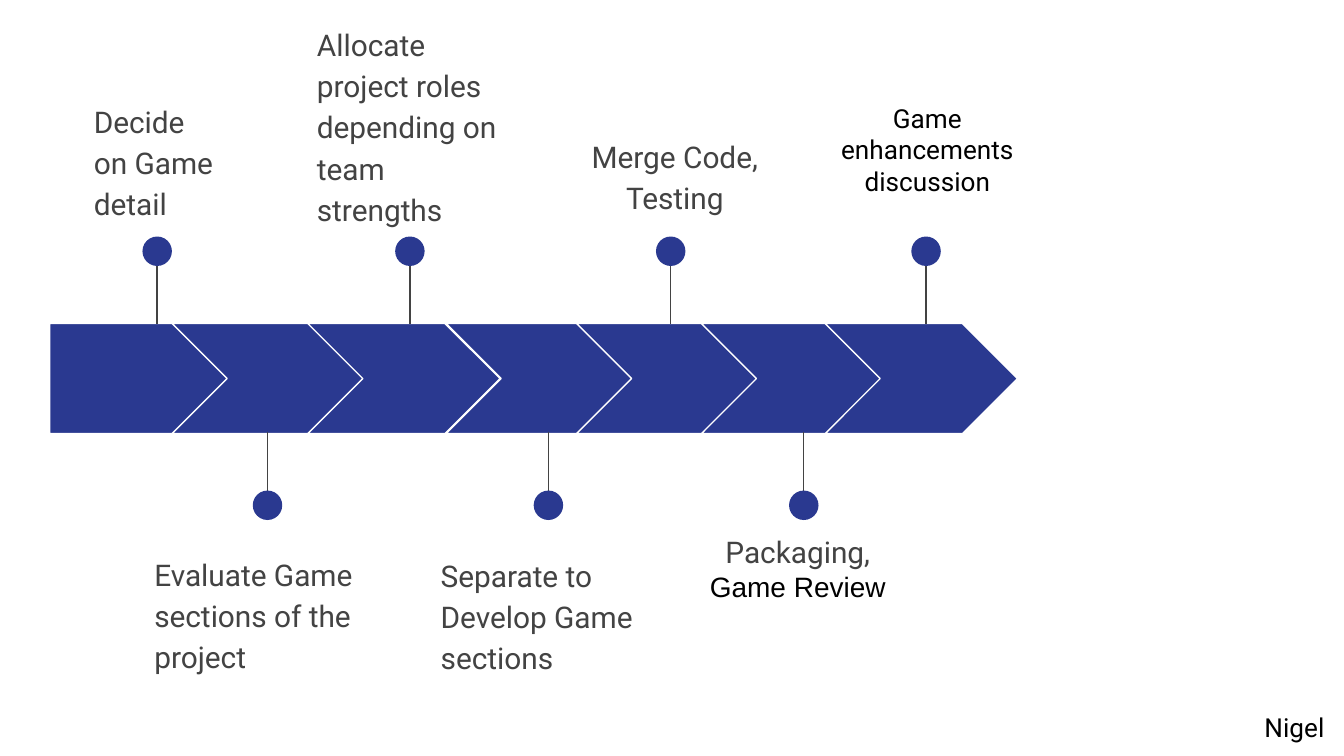
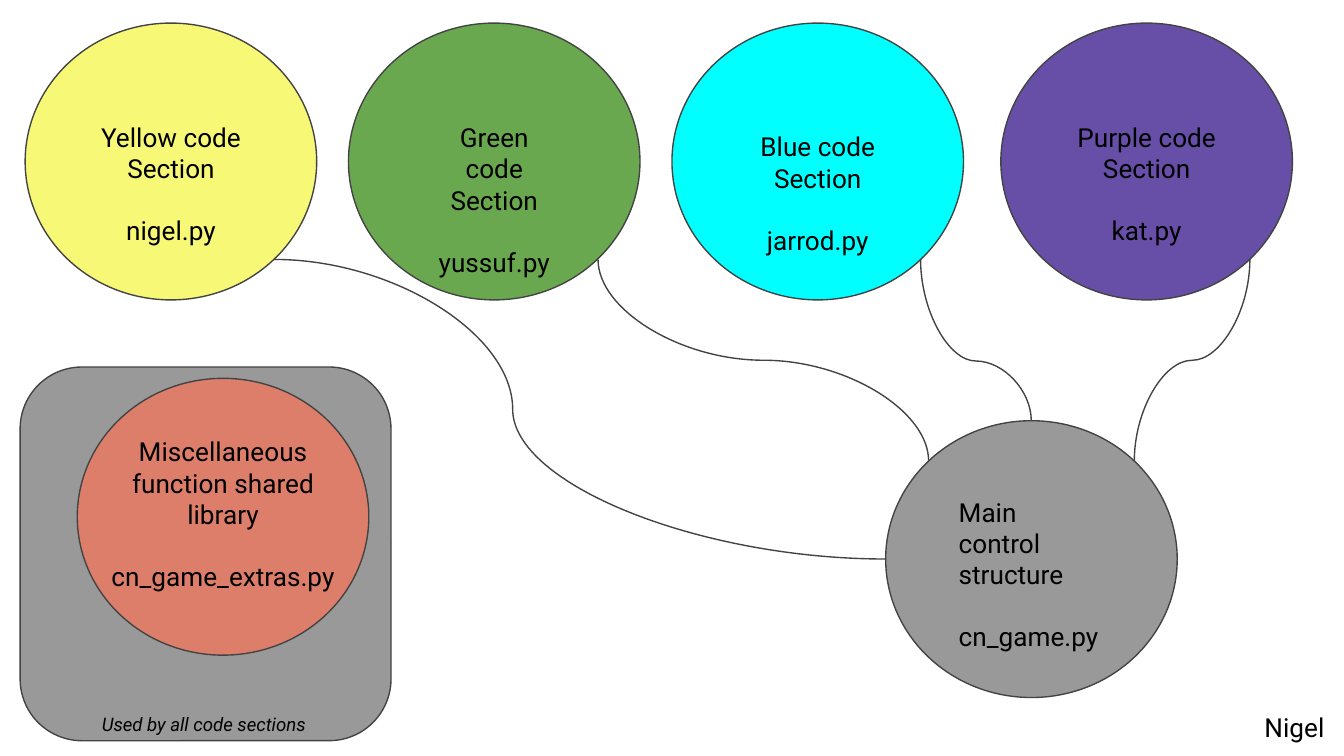
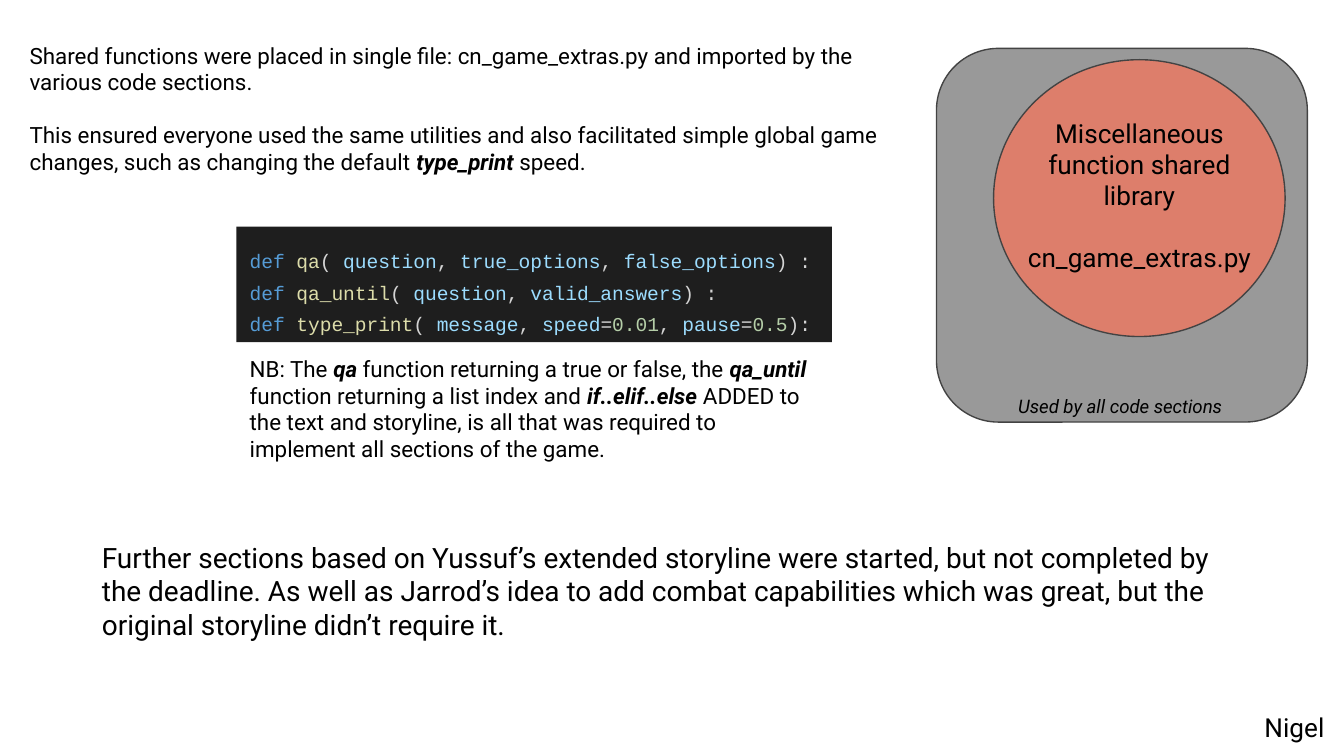
from dataclasses import dataclass

from lxml import etree
from pptx import Presentation
from pptx.dml.color import RGBColor
from pptx.enum.shapes import MSO_CONNECTOR, MSO_SHAPE
from pptx.enum.text import MSO_ANCHOR, PP_ALIGN
from pptx.oxml.ns import qn
from pptx.util import Pt

COLORS = {
    "black": "000000", "white": "FFFFFF", "gray": "999999", "outline": "434343",
    "navy": "2A3990", "yellow": "F8F877", "green": "6AA84F", "cyan": "00FFFF",
    "purple": "674EA7", "salmon": "DD7E6B", "editor": "1E1E1E", "keyword": "569CD6",
    "function": "DCDCAA", "parameter": "9CDCFE", "number": "B5CEA8", "plain": "D4D4D4",
}
CIRCLE_WIDTH, CIRCLE_HEIGHT = 156.2, 148.3
LINE_HEIGHT = 1.17
LEFT, CENTER = PP_ALIGN.LEFT, PP_ALIGN.CENTER


def rgb(name):
    return RGBColor.from_string(COLORS[name])


@dataclass
class Span:
    text: str
    size: float = 12
    color: str = "black"
    font: str = "Roboto"
    bold: bool = False
    italic: bool = False


def emphasized(text, size=12):
    """Split text at asterisks; every second part is bold italic."""
    return [Span(part, size, bold=index % 2 == 1, italic=index % 2 == 1)
            for index, part in enumerate(text.split("*"))]


class SlideBuilder:
    def __init__(self):
        self.deck = Presentation()
        self.deck.slide_width, self.deck.slide_height = Pt(720), Pt(405)
        self.page = None

    def new_page(self):
        self.page = self.deck.slides.add_slide(self.deck.slide_layouts[6])
        self.text(670.3, 373.7, 49.7, 31.7, [[Span("Nigel", 14)]])

    def shape(self, kind, left, top, width, height, fill, line=None):
        shape = self.page.shapes.add_shape(kind, Pt(left), Pt(top), Pt(width), Pt(height))
        shape.shadow.inherit = False
        shape.fill.solid()
        shape.fill.fore_color.rgb = rgb(fill)
        if line:
            shape.line.color.rgb = rgb(line)
            shape.line.width = Pt(0.75)
        else:
            shape.line.fill.background()
        return shape

    def fill_frame(self, frame, paragraphs, align=LEFT, spacing=None, gap=0):
        """Fill a frame with lists of spans; gap separates the paragraphs."""
        frame.word_wrap = True
        frame.vertical_anchor = MSO_ANCHOR.TOP
        frame.margin_left = frame.margin_right = Pt(7.2)
        frame.margin_top = frame.margin_bottom = Pt(7.2)
        for index, spans in enumerate(paragraphs):
            para = frame.add_paragraph() if index else frame.paragraphs[0]
            para.alignment = align
            if spacing:
                para.line_spacing = spacing
            if index and gap:
                para.space_before = Pt(gap)
            for span in spans:
                run = para.add_run()
                run.text = span.text
                run.font.name = span.font
                run.font.size = Pt(span.size)
                run.font.bold = span.bold
                run.font.italic = span.italic
                run.font.color.rgb = rgb(span.color)

    def text(self, left, top, width, height, paragraphs, **style):
        box = self.page.shapes.add_textbox(Pt(left), Pt(top), Pt(width), Pt(height))
        self.fill_frame(box.text_frame, paragraphs, **style)

    def connector(self, kind, start, end):
        line = self.page.shapes.add_connector(kind, *(Pt(value) for value in (*start, *end)))
        line.line.color.rgb = rgb("outline")
        line.line.width = Pt(0.75)
        etree.SubElement(line._element.spPr, qn("a:effectLst"))
        return line

    def curve(self, start, end, bend=0.5, vertical=False):
        """Draw an S curve; a vertical one is laid out sideways, then turned by 270 degrees."""
        if vertical:
            middle_x, middle_y = (start[0] + end[0]) / 2, (start[1] + end[1]) / 2
            half_x, half_y = (end[0] - start[0]) / 2, (end[1] - start[1]) / 2
            start = (middle_x + half_y, middle_y - half_x)
            end = (middle_x - half_y, middle_y + half_x)
        properties = self.connector(MSO_CONNECTOR.CURVE, start, end)._element.spPr
        if vertical:
            properties.find(qn("a:xfrm")).set("rot", str(270 * 60000))
        guides = properties.find(qn("a:prstGeom")).get_or_add_avLst()
        etree.SubElement(guides, qn("a:gd"), name="adj1", fmla=f"val {round(bend * 100000)}")

    def marker(self, x, above):
        """Draw a stem with a dot, above or below the arrow band."""
        ends = (129.6, 173.5) if above else (275.4, 231.5)
        self.connector(MSO_CONNECTOR.STRAIGHT, (x, ends[0]), (x, ends[1]))
        self.shape(MSO_SHAPE.OVAL, x - 7.9, 126.7 if above else 262.8, 15.8, 15.8, "navy")

    def module(self, left, top, fill, title, file_name, width, drop, align=CENTER):
        """Draw a circle naming a code module and its file."""
        self.shape(MSO_SHAPE.OVAL, left, top, CIRCLE_WIDTH, CIRCLE_HEIGHT, fill, "outline")
        self.text(left + (CIRCLE_WIDTH - width) / 2, top + drop, width, 82,
                  [[Span(title, 14)], [Span(file_name, 14)]],
                  align=align, gap=14 * LINE_HEIGHT)

    def shared_library(self, left, top):
        self.shape(MSO_SHAPE.ROUNDED_RECTANGLE, left, top, 198.7, 200.2, "gray", "outline")
        self.module(left + 30.6, top + 6.1, "salmon", "Miscellaneous function shared library",
                    "cn_game_extras.py", 134, 23.5)
        self.text(left + 36.7, top + 179.5, 125.3, 26.6,
                  [[Span("Used by all code sections", 10, italic=True)]])


def code_line(name, parameters, ending):
    def token(text, color):
        return Span(text, 10.5, color, "Courier New")

    spans = [token("def", "keyword"), token(" ", "plain"),
             token(name, "function"), token("( ", "plain")]
    for index, parameter in enumerate(parameters):
        if index:
            spans.append(token(", ", "plain"))
        word, equals, default = parameter.partition("=")
        spans.append(token(word, "parameter"))
        if equals:
            spans += [token(equals, "plain"), token(default, "number")]
    return spans + [token(ending, "plain")]


def add_timeline(builder):
    builder.new_page()
    arrow_lefts = [26.6, 92.2, 164.9, 239, 308.9, 375.8, 442.1]
    marker_centers = [84.2, 143.3, 219.6, 293.8, 359.3, 430.6, 496.1]
    for index, (left, center) in enumerate(zip(arrow_lefts, marker_centers)):
        kind, width = (MSO_SHAPE.CHEVRON, 103) if index else (MSO_SHAPE.PENTAGON, 97.9)
        builder.shape(kind, left, 173.3, width, 59, "navy", "white")
        builder.marker(center, above=index % 2 == 0)

    labels = [
        (43.2, 45.4, 82.1, 71.3, "Decide on Game detail", LEFT),
        (75.6, 288, 129.6, 92.2, "Evaluate Game sections of the project", LEFT),
        (162.7, 4.3, 120.2, 123.1, "Allocate project roles depending on team strengths", LEFT),
        (229, 288.7, 123.1, 92.2, "Separate to Develop Game sections", LEFT),
        (304.6, 64.1, 113.8, 52.6, "Merge Code, Testing", CENTER),
    ]
    for left, top, width, height, label, align in labels:
        builder.text(left, top, width, height, [[Span(label, 16, "outline")]],
                     align=align, spacing=1.15)
    builder.text(373, 278.6, 108.7, 51.8,
                 [[Span("Packaging, ", 16, "outline"), Span("Game Review", 15, font="Arial")]],
                 align=CENTER)
    builder.text(439.9, 47.5, 113.8, 65.5,
                 [[Span("Game enhancements", 14)], [Span("discussion", 14)]], align=CENTER)


def add_code_structure(builder):
    builder.new_page()
    sections = [
        (13.5, "yellow", "Yellow code Section", "nigel.py", 92.2, 45.4),
        (186.7, "green", "Green code Section", "yussuf.py", 85, 45.4),
        (360, "cyan", "Blue code Section", "jarrod.py", 79.9, 50.4),
        (536.2, "purple", "Purple code Section", "kat.py", 92.2, 45.4),
    ]
    for left, fill, title, file_name, width, drop in sections:
        builder.module(left, 12.4, fill, title, file_name, width, drop)
    builder.module(474.5, 225.4, "gray", "Main control structure", "cn_game.py", 92.2, 33.1, LEFT)

    builder.curve((607.7, 247), (669.6, 139), vertical=True)
    builder.curve((493.2, 139), (552.5, 225.4), 0.63, vertical=True)
    builder.curve((320.4, 139), (497.5, 247), vertical=True)
    builder.curve((146.9, 139), (474.5, 299.5), 0.39)
    builder.shared_library(10.8, 196.6)


def add_shared_functions(builder):
    builder.new_page()
    editor = builder.shape(MSO_SHAPE.RECTANGLE, 126.7, 121.5, 319, 61.9, "editor")
    builder.fill_frame(editor.text_frame, [
        code_line("qa", ["question", "true_options", "false_options"], ") :"),
        code_line("qa_until", ["question", "valid_answers"], ") :"),
        code_line("type_print", ["message", "speed=0.01", "pause=0.5"], "):"),
    ], spacing=1.36)
    builder.text(8.8, 15.1, 475.2, 87.1, [
        emphasized("Shared functions were placed in single file: cn_game_extras.py and "
                   "imported by the various code sections."),
        emphasized("This ensured everyone used the same utilities and also facilitated simple "
                   "global game changes, such as changing the default *type_print* speed."),
    ], gap=12 * LINE_HEIGHT)
    builder.shared_library(501.7, 25.9)
    builder.text(126.7, 182.9, 319, 72.7, [emphasized(
        "NB: The *qa *function returning a true or false, the *qa_until *function returning "
        "a list index and *if..elif..else* ADDED to the text and storyline, is all that was "
        "required to implement all sections of the game.")])
    builder.text(47.5, 282.2, 617, 69.1, [emphasized(
        "Further sections based on Yussuf’s extended storyline were started, but not completed "
        "by the deadline. As well as Jarrod’s idea to add combat capabilities which was great, "
        "but the original storyline didn’t require it.", 15)])


def main():
    builder = SlideBuilder()
    add_timeline(builder)
    add_code_structure(builder)
    add_shared_functions(builder)
    builder.deck.save("out.pptx")


if __name__ == "__main__":
    main()
